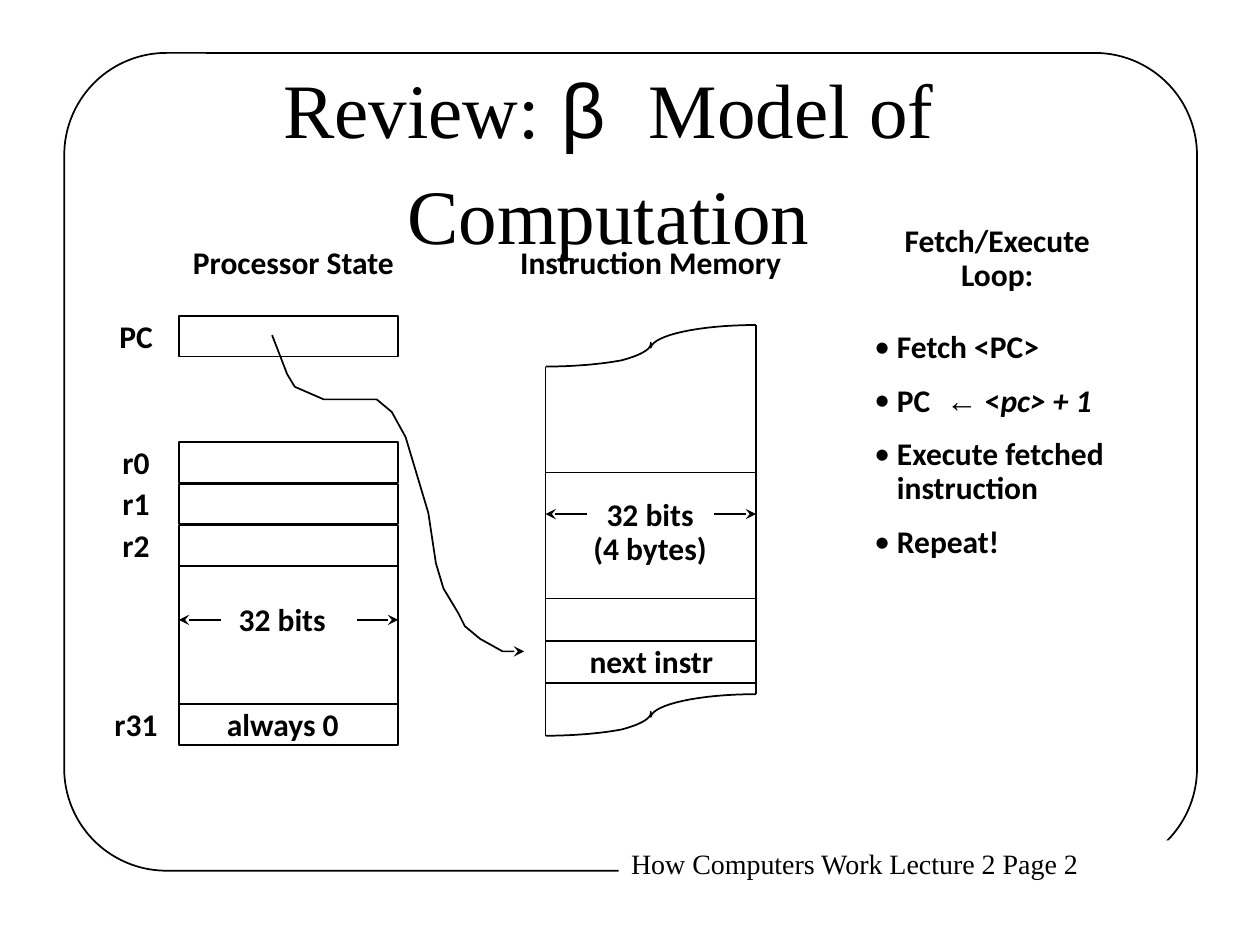
from lxml.etree import SubElement
from pptx import Presentation
from pptx.dml.color import RGBColor
from pptx.enum.shapes import MSO_CONNECTOR, MSO_SHAPE
from pptx.enum.text import MSO_ANCHOR, PP_ALIGN
from pptx.oxml.ns import qn
from pptx.util import Inches, Pt

BLACK, WHITE = "000000", "FFFFFF"
SERIF, SANS, SYMBOL = "Times New Roman", "Calibri", "Arial"
ROW_HEIGHT, ROW_PITCH, LABEL_HEIGHT = 0.32, 0.33, 0.37


def color(value):
    """Turn a hex string into a colour."""
    return RGBColor.from_string(value)


def style_line(item, arrow=False):
    """Give a shape or connector a thin black outline, optionally with an arrowhead."""
    item.line.color.rgb = color(BLACK)
    item.line.width = Pt(1)
    if arrow:
        SubElement(item.line._get_or_add_ln(), qn("a:tailEnd"), type="stealth")


def add_line(page, start, end, arrow=False):
    """Draw a straight line between two points."""
    line = page.shapes.add_connector(
        MSO_CONNECTOR.STRAIGHT, *(Inches(value) for value in (*start, *end)))
    style_line(line, arrow)
    SubElement(line._element.spPr, qn("a:effectLst"))


def add_path(page, points, arrow=False):
    """Draw an open, unfilled outline through a list of points."""
    builder = page.shapes.build_freeform(
        Inches(points[0][0]), Inches(points[0][1]))
    builder.add_line_segments(
        [(Inches(x), Inches(y)) for x, y in points[1:]], close=False)
    outline = builder.convert_to_shape()
    outline.shadow.inherit = False
    outline.fill.background()
    style_line(outline, arrow)


def add_block(page, kind, box, fill=None, outlined=True):
    """Place a preset shape in a box."""
    block = page.shapes.add_shape(kind, *(Inches(value) for value in box))
    block.shadow.inherit = False
    if fill:
        block.fill.solid()
        block.fill.fore_color.rgb = color(fill)
    else:
        block.fill.background()
    if outlined:
        style_line(block)
    else:
        block.line.fill.background()
    return block


def format_span(span, name, size, bold=False, italic=False):
    """Set the font of one run."""
    span.font.name = name
    span.font.size = Pt(size)
    span.font.bold = bold
    span.font.italic = italic
    span.font.color.rgb = color(BLACK)


def add_label(page, box, text):
    """Write bold centred text in a box that does not wrap."""
    label = page.shapes.add_textbox(*(Inches(value) for value in box))
    frame = label.text_frame
    frame.word_wrap = False
    frame.text = text
    for para in frame.paragraphs:
        para.alignment = PP_ALIGN.CENTER
        para.line_spacing = 0.9
        format_span(para.runs[0], SANS, 18, bold=True)


def add_width_arrows(page, left, right, y, length):
    """Point outward arrows at both sides of a column."""
    add_line(page, (left + length, y), (left, y), arrow=True)
    add_line(page, (right - length, y), (right, y), arrow=True)


def bezier(start, first, second, end, steps=16):
    """List points along a cubic curve."""
    points = []
    for step in range(steps + 1):
        t = step / steps
        weights = ((1 - t) ** 3, 3 * t * (1 - t) ** 2, 3 * t * t * (1 - t), t ** 3)
        corners = (start, first, second, end)
        points.append(tuple(
            sum(weight * corner[axis] for weight, corner in zip(weights, corners))
            for axis in (0, 1)))
    return points


def add_frame(page, box):
    """Draw the rounded page border and the footer that interrupts it."""
    left, top, width, height = box
    border = add_block(page, MSO_SHAPE.ROUNDED_RECTANGLE, box)
    border.adjustments[0] = 0.125
    footer_width = 4.59
    footer = add_block(
        page, MSO_SHAPE.RECTANGLE,
        (left + width - footer_width, top + height - 0.24, footer_width, 0.37),
        WHITE, outlined=False)
    frame = footer.text_frame
    frame.word_wrap = True
    frame.vertical_anchor = MSO_ANCHOR.TOP
    frame.text = "How Computers Work Lecture 2 Page 2"
    frame.paragraphs[0].alignment = PP_ALIGN.LEFT
    format_span(frame.paragraphs[0].runs[0], SERIF, 16)


def add_title(page, box):
    """Write the slide title."""
    title = page.shapes.add_textbox(*(Inches(value) for value in box))
    frame = title.text_frame
    frame.word_wrap = True
    frame.vertical_anchor = MSO_ANCHOR.MIDDLE
    para = frame.paragraphs[0]
    para.alignment = PP_ALIGN.CENTER
    para.line_spacing = Pt(60)
    for text, name in (("Review:", SERIF), (" β  ", SYMBOL),
                       ("Model of Computation", SERIF)):
        span = para.add_run()
        span.text = text
        format_span(span, name, 44)


def add_processor(page, box):
    """Draw the program counter and the register file."""
    left, top, width, height = box
    right = left + width
    last_top = top + height - ROW_HEIGHT
    add_label(page, (left - 0.16, top - 0.6, 2.14, LABEL_HEIGHT), "Processor State")
    rows = [("PC", top)]
    rows += [(f"r{index}", top + 1 + index * ROW_PITCH) for index in range(3)]
    rows.append(("r31", last_top))
    for name, row_top in rows:
        add_block(page, MSO_SHAPE.RECTANGLE,
                  (left, row_top, width, ROW_HEIGHT), WHITE)
        add_label(page, (left - 0.64, row_top - 0.01, 0.6, LABEL_HEIGHT), name)
    for x in (left, right):
        add_line(page, (x, top + 1.98), (x, last_top))
    add_label(page, (left + 0.31, top + 2.24, 1.02, LABEL_HEIGHT), "32 bits")
    add_width_arrows(page, left, right, top + 2.41, 0.33)
    add_label(page, (left + 0.19, last_top - 0.01, 1.27, LABEL_HEIGHT), "always 0")


def add_torn_edge(page, left, right, top):
    """Draw the wavy edge of the memory column."""
    middle = (left + right) / 2
    low, dip = top + 0.33, top + 0.28
    add_path(page,
             bezier((left, low), (left + 0.23, low),
                    (middle - 0.39, top + 0.31), (middle - 0.23, dip))
             + bezier((middle - 0.23, dip), (middle - 0.08, top + 0.24),
                      (middle + 0.01, top + 0.19), (middle, top + 0.14))
             + bezier((middle, top + 0.18), (middle + 0.02, top + 0.08),
                      (middle + 0.39, top), (right, top)))


def add_memory(page, box):
    """Draw the instruction memory column."""
    left, top, width, height = box
    right, drop = left + width, height - 0.33
    add_label(page, (left - 0.52, top - 0.67, 2.71, LABEL_HEIGHT), "Instruction Memory")
    for edge_top in (top, top + drop):
        add_torn_edge(page, left, right, edge_top)
    add_line(page, (left, top + 0.33), (left, top + height))
    add_line(page, (right, top), (right, top + drop))
    for offset in (1.17, 2.17, 2.51, 2.84):
        add_line(page, (left, top + offset), (right, top + offset))
    add_label(page, (left + 0.2, top + 1.33, 1.26, 0.64), "32 bits\n(4 bytes)")
    add_width_arrows(page, left, right, top + 1.5, 0.33)
    add_label(page, (left + 0.13, top + 2.5, 1.42, LABEL_HEIGHT), "next instr")


def add_pointer(page, left, top):
    """Draw the path from the program counter to the next instruction."""
    offsets = ((0, 0), (0.12, 0.31), (0.18, 0.41), (0.41, 0.51), (0.83, 0.51),
               (0.95, 0.61), (1.06, 0.81), (1.24, 1.41), (1.3, 1.81),
               (1.36, 2.01), (1.48, 2.21), (1.53, 2.31), (1.65, 2.41),
               (1.83, 2.51), (2, 2.51))
    add_path(page, [(left + x, top + y) for x, y in offsets], arrow=True)


def add_loop(page, box):
    """List the steps of the fetch and execute loop."""
    left, top, width, height = box
    add_label(page, (left + 0.09, top - 0.84, 1.97, 0.64), "Fetch/Execute\nLoop:")
    steps = page.shapes.add_textbox(*(Inches(value) for value in box))
    frame = steps.text_frame
    frame.word_wrap = True
    items = ((("Fetch <PC>", SANS, False),),
             (("PC ", SANS, False), (" ←", SYMBOL, False),
              (" <", SANS, False), ("pc> + 1", SANS, True)),
             (("Execute fetched instruction", SANS, False),),
             (("Repeat!", SANS, False),))
    for index, item in enumerate(items):
        para = frame.add_paragraph() if index else frame.paragraphs[0]
        para.line_spacing = 0.9
        if index:
            para.space_before = Pt(11.2)
        properties = para._p.get_or_add_pPr()
        properties.set("marL", str(Inches(0.18)))
        properties.set("indent", str(-Inches(0.18)))
        SubElement(properties, qn("a:buFont"), typeface=SANS)
        SubElement(properties, qn("a:buChar"), char="•")
        for text, name, italic in item:
            span = para.add_run()
            span.text = text
            format_span(span, name, 18, bold=True, italic=italic)


def main():
    """Build the slide and save it."""
    deck = Presentation()
    deck.slide_width, deck.slide_height = Inches(10), Inches(7.5)
    page = deck.slides.add_slide(deck.slide_layouts[6])
    add_frame(page, (0.51, 0.42, 8.99, 6.49))
    add_title(page, (0.83, 0.65, 8, 1.15))
    add_processor(page, (1.42, 2.51, 1.74, 3.4))
    add_memory(page, (4.33, 2.58, 1.67, 3.26))
    add_pointer(page, 2.16, 2.66)
    add_loop(page, (6.84, 2.58, 2.75, 1.92))
    deck.save("out.pptx")


if __name__ == "__main__":
    main()
